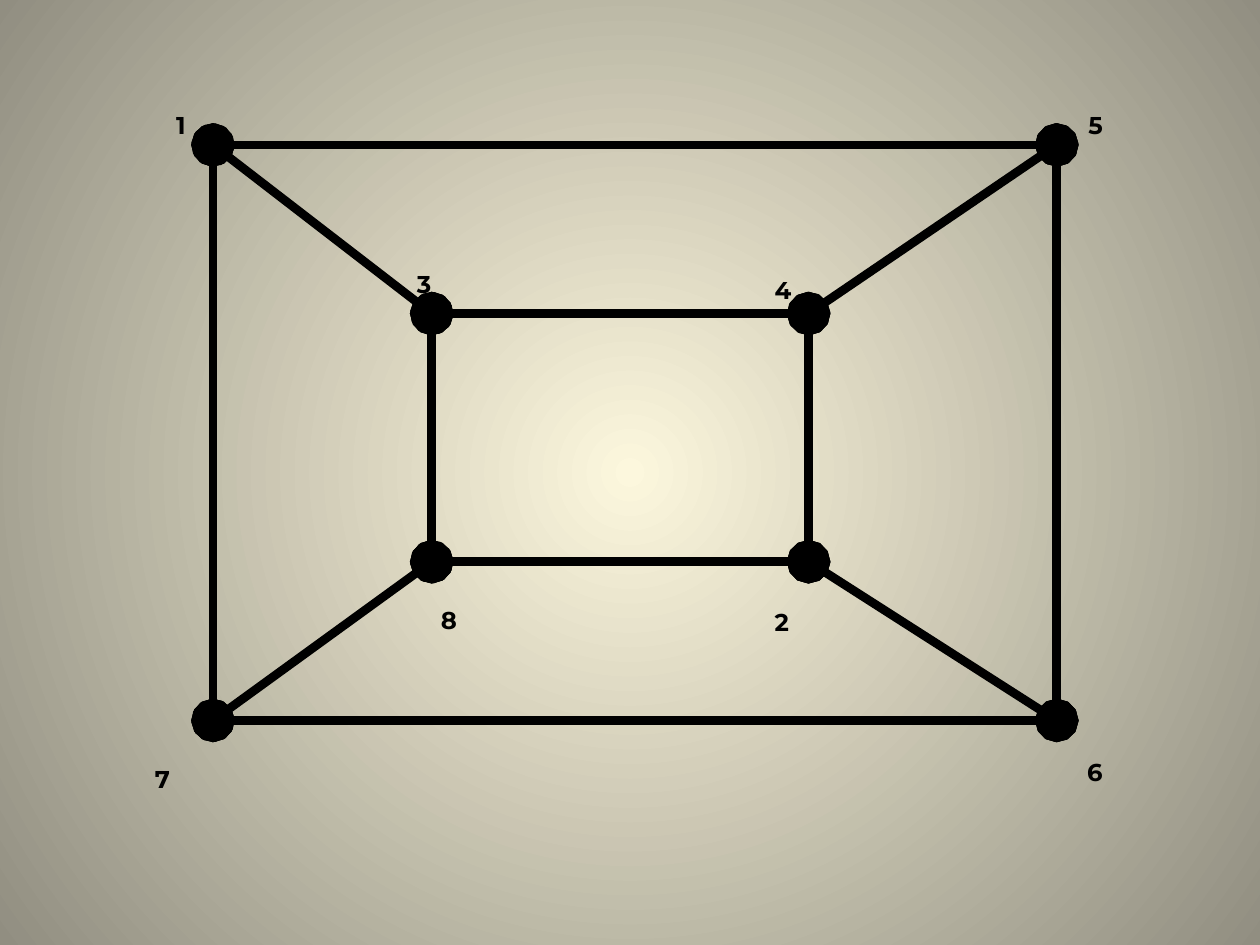
"""Build a slide with the planar drawing of a cube graph on eight numbered vertices."""
from dataclasses import dataclass

from lxml.etree import SubElement
from pptx import Presentation
from pptx.dml.color import RGBColor
from pptx.enum.shapes import MSO_CONNECTOR as Connector
from pptx.enum.text import MSO_AUTO_SIZE as AutoSize
from pptx.oxml.ns import qn
from pptx.slide import Slide
from pptx.util import Pt

BLACK = RGBColor(0x00, 0x00, 0x00)
CREAM = RGBColor(0xFC, 0xF7, 0xDD)
STONE = RGBColor(0x91, 0x8E, 0x81)

OUTER_LEFT, OUTER_RIGHT, OUTER_TOP, OUTER_BOTTOM = 121.7, 603.9, 82.8, 411.7
INNER_LEFT, INNER_RIGHT, INNER_TOP, INNER_BOTTOM = 246.7, 462.1, 179.2, 321
LABEL_WIDTH, LABEL_HEIGHT = 40.3, 26.6
FONT_NAME, FONT_SIZE = "Montserrat", 24
EDGE_WIDTH = 5


@dataclass(frozen=True)
class Vertex:
    x: float
    y: float
    label_left: float
    label_top: float


VERTICES = {
    "1": Vertex(OUTER_LEFT, OUTER_TOP, 93.6, 43.2),
    "2": Vertex(INNER_RIGHT, INNER_BOTTOM, 435.6, 327.6),
    "3": Vertex(INNER_LEFT, INNER_TOP, 231.1, 133.9),
    "4": Vertex(INNER_RIGHT, INNER_TOP, 435.6, 137.5),
    "5": Vertex(OUTER_RIGHT, OUTER_TOP, 614.9, 43.2),
    "6": Vertex(OUTER_RIGHT, OUTER_BOTTOM, 614.2, 413.3),
    "7": Vertex(OUTER_LEFT, OUTER_BOTTOM, 81.4, 416.9),
    "8": Vertex(INNER_LEFT, INNER_BOTTOM, 244.8, 326.2),
}
EDGES = ("15", "76", "34", "82", "38", "24", "17", "65", "31", "54", "78", "26")


def paint_background(slide: Slide) -> None:
    fill = slide.background.fill
    fill.gradient()
    for stop, color in zip(fill.gradient_stops, (CREAM, STONE)):
        stop.color.rgb = color
    gradient = slide.element.find(".//" + qn("a:gradFill"))
    gradient.remove(gradient.find(qn("a:lin")))
    circle = SubElement(gradient, qn("a:path"), {"path": "circle"})
    SubElement(circle, qn("a:fillToRect"), dict.fromkeys("ltrb", "50000"))


def draw_edge(slide: Slide, start: Vertex, end: Vertex) -> None:
    edge = slide.shapes.add_connector(
        Connector.STRAIGHT, Pt(start.x), Pt(start.y), Pt(end.x), Pt(end.y))
    edge.line.width = Pt(EDGE_WIDTH)
    edge.line.color.rgb = BLACK
    properties = edge.element.spPr
    line = properties.find(qn("a:ln"))
    for tag in ("a:headEnd", "a:tailEnd"):
        SubElement(line, qn(tag), {"type": "oval", "w": "lg", "len": "lg"})
    SubElement(properties, qn("a:effectLst"))


def draw_label(slide: Slide, text: str, vertex: Vertex) -> None:
    label = slide.shapes.add_textbox(
        Pt(vertex.label_left), Pt(vertex.label_top), Pt(LABEL_WIDTH), Pt(LABEL_HEIGHT))
    frame = label.text_frame
    frame.word_wrap = True
    frame.auto_size = AutoSize.SHAPE_TO_FIT_TEXT
    paragraph = frame.paragraphs[0]
    run = paragraph.add_run()
    run.text = text
    run.font._element.set("baseline", "-25000")
    font = paragraph.font
    font.name, font.size, font.bold = FONT_NAME, Pt(FONT_SIZE), True
    font.color.rgb = BLACK


def main() -> None:
    presentation = Presentation()
    presentation.slide_width, presentation.slide_height = Pt(720), Pt(540)
    slide = presentation.slides.add_slide(presentation.slide_layouts[6])
    paint_background(slide)
    for start, end in EDGES:
        draw_edge(slide, VERTICES[start], VERTICES[end])
    for text, vertex in VERTICES.items():
        draw_label(slide, text, vertex)
    presentation.save("out.pptx")


if __name__ == "__main__":
    main()
